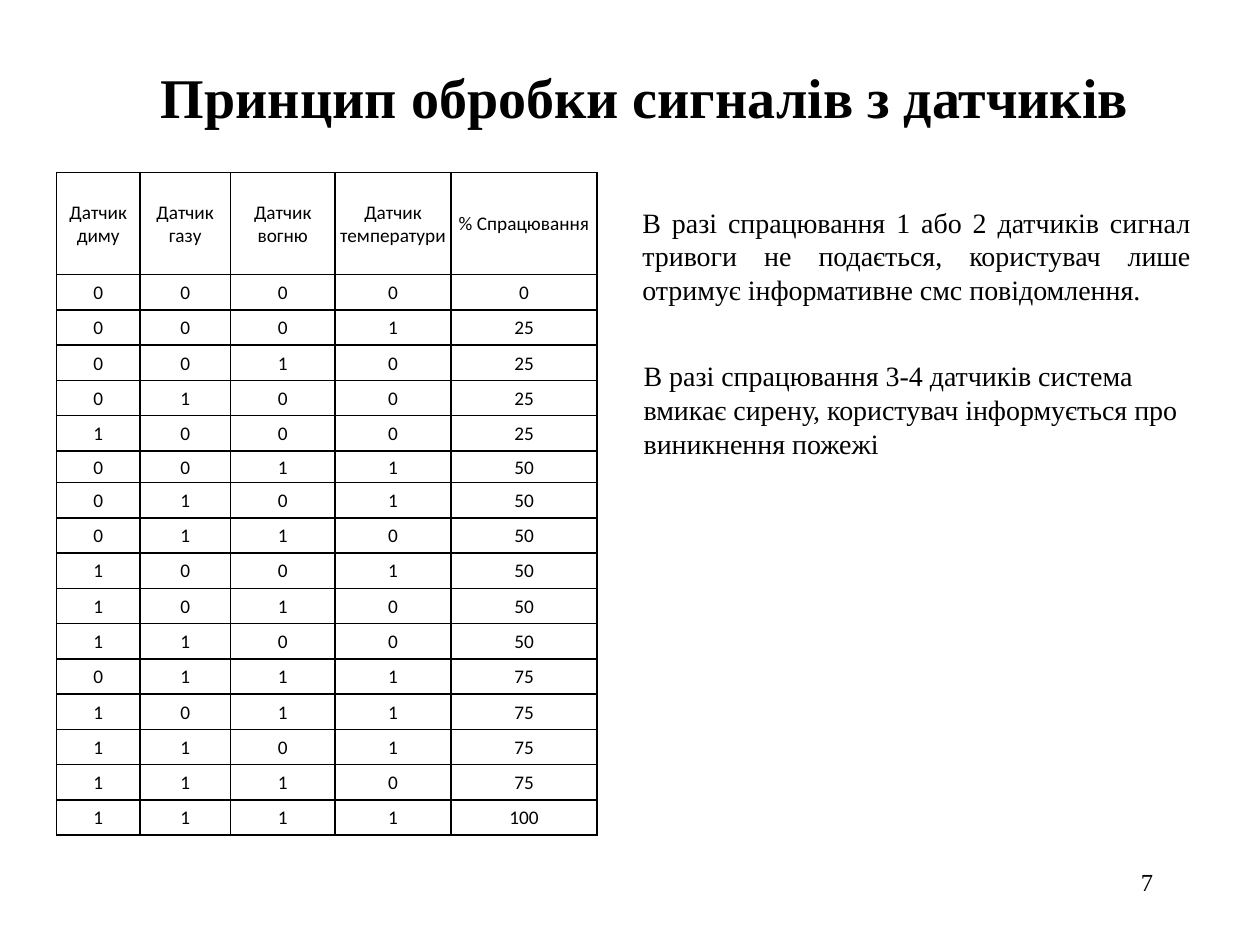
import itertools

import lxml.etree
import pptx
import pptx.dml.color
import pptx.enum.text
import pptx.oxml.ns
import pptx.util

Inches = pptx.util.Inches
Align = pptx.enum.text.PP_ALIGN
Anchor = pptx.enum.text.MSO_ANCHOR
AutoSize = pptx.enum.text.MSO_AUTO_SIZE

SENSORS = ["Датчик диму", "Датчик газу", "Датчик вогню", "Датчик температури"]


def color(value):
    return pptx.dml.color.RGBColor.from_string(value)


def write(frame, text, font="Times New Roman", size=16, bold=False,
          align=Align.LEFT, ink="000000"):
    paragraph = frame.paragraphs[0]
    paragraph.alignment = align
    run = paragraph.add_run()
    run.text = text
    run.font.name = font
    run.font.size = pptx.util.Pt(size)
    run.font.bold = bold
    run.font.color.rgb = color(ink)


def add_borders(cell, ink, width):
    properties = cell._tc.get_or_add_tcPr()
    for side in ("a:lnL", "a:lnR", "a:lnT", "a:lnB"):
        line = lxml.etree.SubElement(properties, pptx.oxml.ns.qn(side),
                                     w=str(pptx.util.Pt(width)))
        fill = lxml.etree.SubElement(line, pptx.oxml.ns.qn("a:solidFill"))
        lxml.etree.SubElement(fill, pptx.oxml.ns.qn("a:srgbClr"), val=ink)


class SlideBuilder:
    ink = "000000"
    paper = "FFFFFF"
    table_font = "Calibri"

    def __init__(self, presentation):
        self.slide = presentation.slides.add_slide(presentation.slide_layouts[5])
        self.slide.background.fill.solid()
        self.slide.background.fill.fore_color.rgb = color(self.paper)

    def title(self, text, left, top, width, height):
        shape = self.slide.shapes.title
        shape.left, shape.top = Inches(left), Inches(top)
        shape.width, shape.height = Inches(width), Inches(height)
        frame = shape.text_frame
        frame.auto_size = AutoSize.NONE
        frame.vertical_anchor = Anchor.MIDDLE
        write(frame, text, size=32, bold=True, align=Align.CENTER, ink=self.ink)

    def text(self, text, left, top, width, height, **style):
        box = self.slide.shapes.add_textbox(
            Inches(left), Inches(top), Inches(width), Inches(height))
        box.text_frame.word_wrap = True
        write(box.text_frame, text, ink=self.ink, **style)

    def table(self, rows, left, top, widths, heights):
        frame = self.slide.shapes.add_table(
            len(rows), len(widths), Inches(left), Inches(top),
            Inches(sum(widths)), Inches(sum(heights)))
        table = frame.table
        table.first_row = table.horz_banding = False
        for column, width in zip(table.columns, widths):
            column.width = Inches(width)
        for row, height, values in zip(table.rows, heights, rows):
            row.height = Inches(height)
            for cell, value in zip(row.cells, values):
                self.cell(cell, str(value))

    def cell(self, cell, text):
        cell.margin_left = cell.margin_right = cell.margin_top = Inches(0.01)
        cell.margin_bottom = 0
        cell.vertical_anchor = Anchor.MIDDLE
        add_borders(cell, self.ink, 1)
        cell.fill.background()
        write(cell.text_frame, text, font=self.table_font, size=11,
              align=Align.CENTER, ink=self.ink)


def main():
    presentation = pptx.Presentation()
    presentation.slide_width = Inches(10)
    presentation.slide_height = Inches(7.5)
    builder = SlideBuilder(presentation)

    builder.title("Принцип обробки сигналів з датчиків", 0.67, 0.36, 8.9, 0.81)

    # Page number
    builder.text("7", 7.17, 6.83, 2.08, 0.5, size=14, align=Align.RIGHT)

    # Explanations
    builder.text("В разі спрацювання 3-4 датчиків система вмикає сирену, "
                 "користувач інформується про виникнення пожежі",
                 5.01, 2.8, 4.55, 0.91)
    builder.text("В разі спрацювання 1 або 2 датчиків сигнал тривоги не подається, "
                 "користувач лише отримує інформативне смс повідомлення.",
                 5, 1.58, 4.55, 0.91, align=Align.JUSTIFY)

    # Every sensor combination, ordered by the number of triggered sensors
    states = sorted(itertools.product((0, 1), repeat=len(SENSORS)), key=sum)
    rows = [SENSORS + ["% Спрацювання"]]
    rows += [[*state, 100 * sum(state) // len(SENSORS)] for state in states]
    heights = [0.81] + [0.28] * 5 + [0.25] + [0.28] * 10
    builder.table(rows, 0.45, 1.37, [0.66, 0.72, 0.83, 0.92, 1.16], heights)

    presentation.save("out.pptx")


if __name__ == "__main__":
    main()
